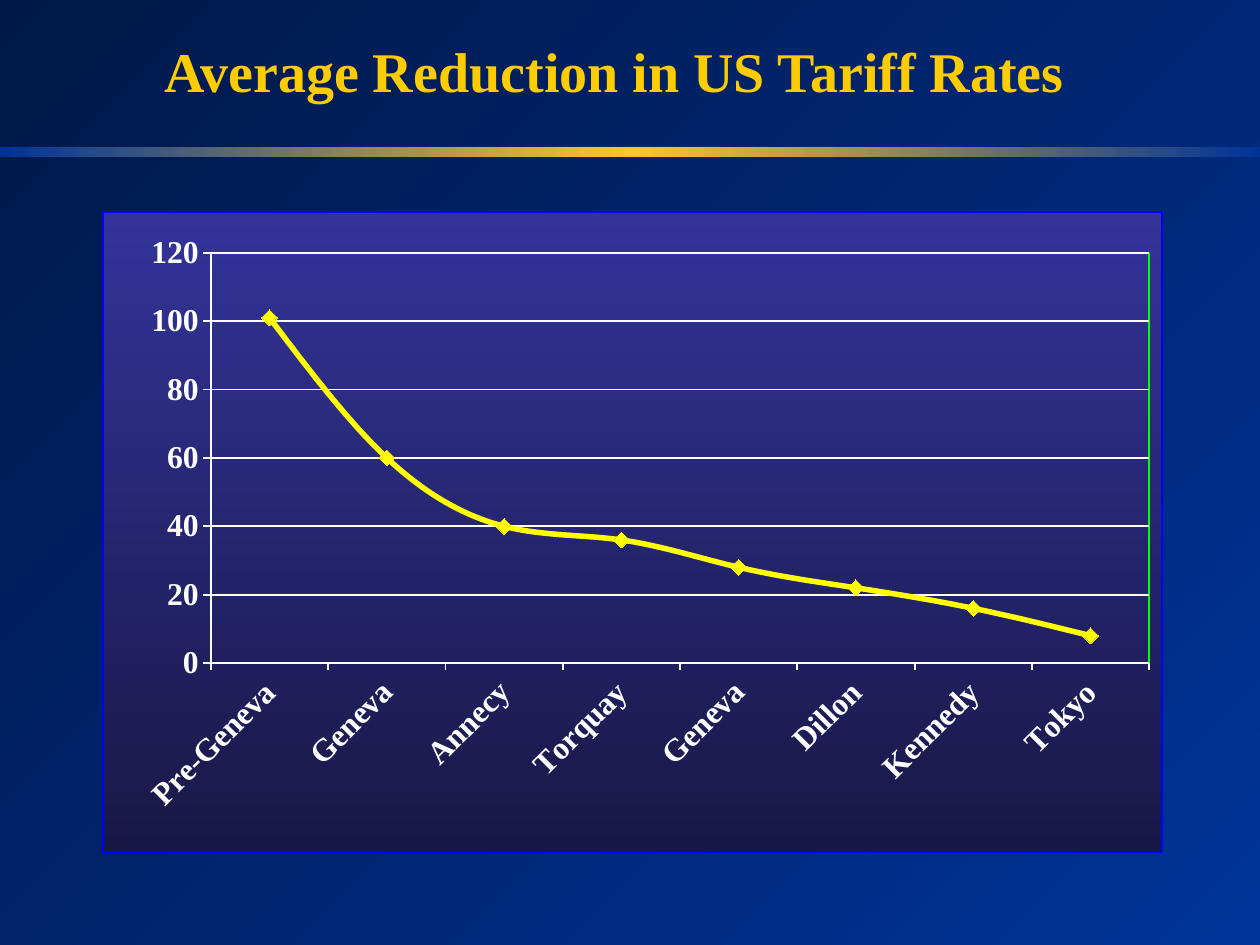
from pptx import Presentation, util as u
from pptx.chart.data import CategoryChartData
from pptx.dml.color import RGBColor
from pptx.enum import chart as charts, shapes, text
from pptx.oxml import parse_xml
from pptx.oxml.ns import nsdecls, qn

TITLE = "Average Reduction in US Tariff Rates"
SERIES = "Series 1"
ROUNDS = [
    ("Pre-Geneva", 101),
    ("Geneva", 60),
    ("Annecy", 40),
    ("Torquay", 36),
    ("Geneva", 28),
    ("Dillon", 22),
    ("Kennedy", 16),
    ("Tokyo", 8),
]

THEME = {
    "font": "Times New Roman",
    "title": "FFCC00",
    "text": "B1E2FB",
    "axis": "FFFFFF",
    "line": "FFFF00",
    "border": "0000FF",
    "plot_border": "00FF00",
    "background": ["001847", "003399"],
    "bar": ["003399", "FDC529", "003399"],
    "panel": ["333399", "181847"],
    "title_size": 32,
    "chart_size": 18.9,
    "axis_size": 18.1,
    "thin": 1.05,
    "thick": 3.14,
}
PX = u.Inches(1) / 126
SLIDE = (1260, 945)
BOXES = {
    "title": (0, 37, 1229, 73),
    "bar": (0, 147, 1260, 10),
    "chart": (102, 211, 1061, 642),
}
PLOT = {"x": 0.102, "y": 0.064, "w": 0.886, "h": 0.641}


def emu(box):
    return [round(value * PX) for value in box]


def assign(target, values):
    for name, value in values.items():
        setattr(target, name, value)


def style_font(font, size, color):
    assign(font, {"name": THEME["font"], "size": u.Pt(size), "bold": True})
    font.color.rgb = RGBColor.from_string(color)


def style_line(line, color, width):
    line.color.rgb = RGBColor.from_string(color)
    line.width = u.Pt(width)


def gradient(colors, angle):
    step = 100000 // (len(colors) - 1)
    stops = "".join(
        f'<a:gs pos="{index * step}"><a:srgbClr val="{color}"/></a:gs>'
        for index, color in enumerate(colors)
    )
    return (
        f'<a:gradFill {nsdecls("a")} rotWithShape="1"><a:gsLst>{stops}</a:gsLst>'
        f'<a:lin ang="{angle * 60000}" scaled="0"/></a:gradFill>'
    )


def paint(fill, parent, colors, angle):
    fill.solid()
    solid = next(parent.iter(qn("a:solidFill")))
    solid.getparent().replace(solid, parse_xml(gradient(colors, angle)))


def area(fill, color):
    return parse_xml(
        f'<c:spPr {nsdecls("c", "a")}>{fill}<a:ln w="{u.Pt(THEME["thin"])}">'
        f'<a:solidFill><a:srgbClr val="{color}"/></a:solidFill></a:ln></c:spPr>'
    )


def add_title(slide):
    title = slide.shapes.title
    assign(title, dict(zip(("left", "top", "width", "height"), emu(BOXES["title"]))))
    frame = title.text_frame
    frame.text = TITLE
    assign(frame, {
        "vertical_anchor": text.MSO_ANCHOR.BOTTOM,
        "word_wrap": True,
        "auto_size": text.MSO_AUTO_SIZE.NONE,
    })
    paragraph = frame.paragraphs[0]
    paragraph.alignment = text.PP_ALIGN.CENTER
    style_font(paragraph.runs[0].font, THEME["title_size"], THEME["title"])


def add_bar(slide):
    bar = slide.shapes.add_shape(shapes.MSO_SHAPE.RECTANGLE, *emu(BOXES["bar"]))
    bar.shadow.inherit = False
    bar.line.fill.background()
    paint(bar.fill, bar.element.spPr, THEME["bar"], 0)


def style_axes(chart):
    for axis in (chart.category_axis, chart.value_axis):
        assign(axis, {
            "major_tick_mark": charts.XL_TICK_MARK.OUTSIDE,
            "minor_tick_mark": charts.XL_TICK_MARK.NONE,
        })
        style_font(axis.tick_labels.font, THEME["axis_size"], THEME["axis"])
        style_line(axis.format.line, THEME["axis"], THEME["thin"])
    body = chart.category_axis._element.find(f'{qn("c:txPr")}/{qn("a:bodyPr")}')
    assign(chart.value_axis, {
        "minimum_scale": 0,
        "maximum_scale": 120,
        "major_unit": 20,
        "has_major_gridlines": True,
    })
    style_line(chart.value_axis.major_gridlines.format.line, THEME["axis"], THEME["thin"])
    body.set("rot", str(-45 * 60000))
    body.set("vert", "horz")


def style_series(series):
    series.smooth = True
    style_line(series.format.line, THEME["line"], THEME["thick"])
    marker = series.marker
    assign(marker, {"style": charts.XL_MARKER_STYLE.DIAMOND, "size": 9})
    marker.format.fill.solid()
    marker.format.fill.fore_color.rgb = RGBColor.from_string(THEME["line"])
    style_line(marker.format.line, THEME["line"], THEME["thin"])


def style_areas(chart):
    space = chart._chartSpace
    space.find(qn("c:chart")).addnext(area(gradient(THEME["panel"], 90), THEME["border"]))
    plot_area = space.find(f'{qn("c:chart")}/{qn("c:plotArea")}')
    for layout in plot_area.findall(qn("c:layout")):
        plot_area.remove(layout)
    modes = "".join(f'<c:{key}Mode val="edge"/>' for key in "xy")
    sizes = "".join(f'<c:{key} val="{value}"/>' for key, value in PLOT.items())
    plot_area.insert(0, parse_xml(
        f'<c:layout {nsdecls("c")}><c:manualLayout><c:layoutTarget val="inner"/>'
        f'{modes}{sizes}</c:manualLayout></c:layout>'
    ))
    plot_area.append(area("<a:noFill/>", THEME["plot_border"]))


def add_chart(slide):
    data = CategoryChartData()
    data.categories = [name for name, _ in ROUNDS]
    data.add_series(SERIES, [value for _, value in ROUNDS])
    chart = slide.shapes.add_chart(
        charts.XL_CHART_TYPE.LINE_MARKERS, *emu(BOXES["chart"]), data
    ).chart
    assign(chart, {"has_title": False, "has_legend": False})
    chart.plots[0].vary_by_categories = False
    style_font(chart.font, THEME["chart_size"], THEME["text"])
    style_axes(chart)
    style_series(chart.plots[0].series[0])
    style_areas(chart)


def main():
    presentation = Presentation()
    width, height = emu(SLIDE)
    assign(presentation, {"slide_width": width, "slide_height": height})
    slide = presentation.slides.add_slide(presentation.slide_layouts[5])
    paint(slide.background.fill, slide.element, THEME["background"], 45)
    add_bar(slide)
    add_title(slide)
    add_chart(slide)
    presentation.save("out.pptx")


if __name__ == "__main__":
    main()
